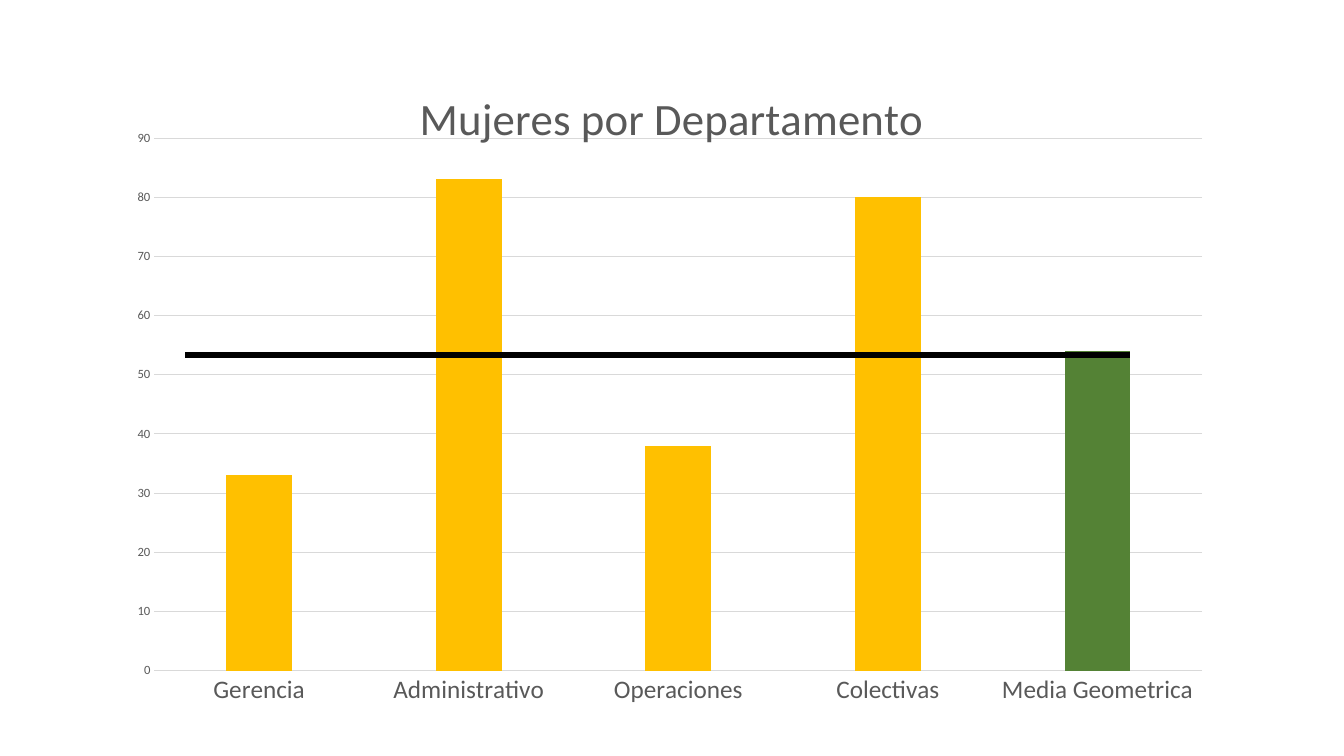
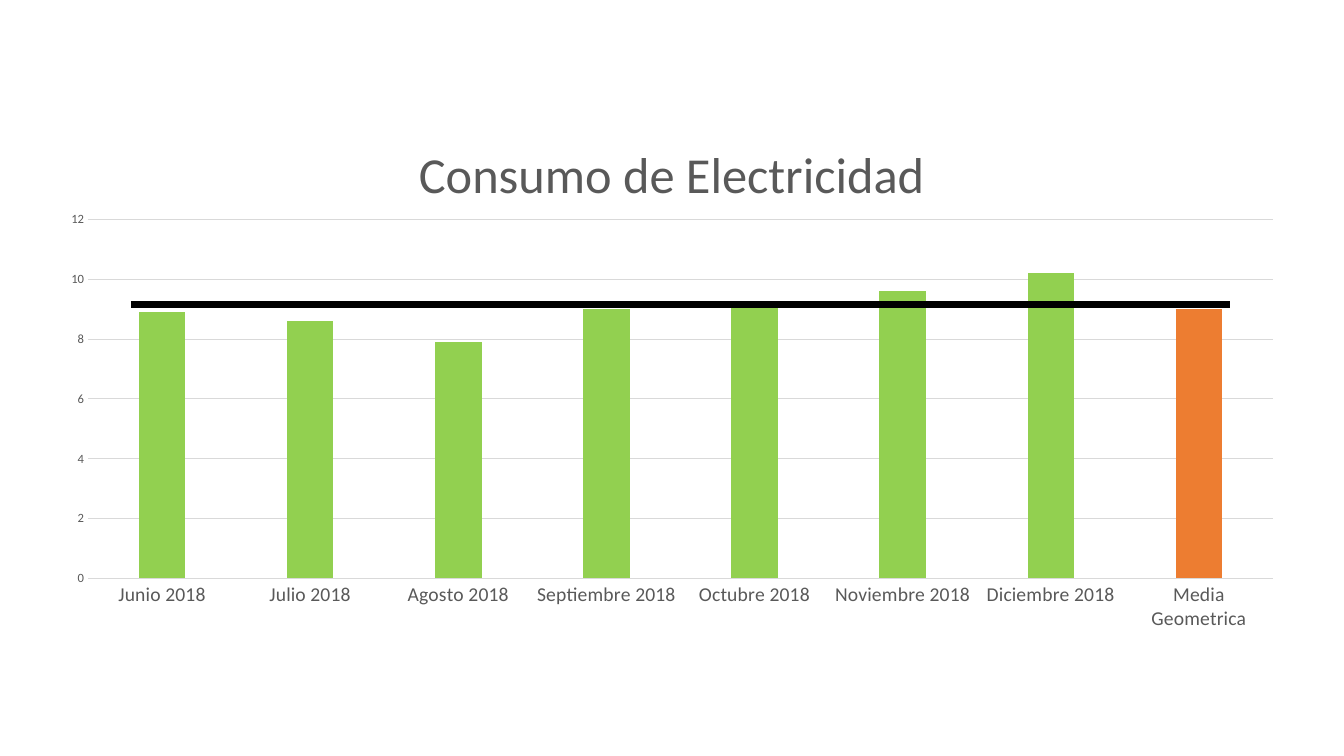
from dataclasses import dataclass

import lxml.etree
import pptx
import pptx.chart.data
import pptx.dml.color
import pptx.enum.chart
import pptx.enum.shapes
import pptx.oxml
import pptx.oxml.ns
import pptx.slide
import pptx.text.text
import pptx.util

Cm = pptx.util.Cm
Pt = pptx.util.Pt
RGB = pptx.dml.color.RGBColor


@dataclass(frozen=True)
class Theme:
    font: str = "Calibri"
    text: RGB = RGB(0x59, 0x59, 0x59)
    grid: RGB = RGB(0xD9, 0xD9, 0xD9)
    black: RGB = RGB(0, 0, 0)
    gold: RGB = RGB(0xFF, 0xC0, 0x00)
    green: RGB = RGB(0x54, 0x82, 0x35)
    lime: RGB = RGB(0x92, 0xD0, 0x50)
    orange: RGB = RGB(0xED, 0x7D, 0x31)
    scale: float = 9
    base: float = 10
    thin: float = 0.75
    thick: float = 4.5


THEME = Theme()


@dataclass(frozen=True)
class Box:
    left: float
    top: float
    width: float
    height: float


@dataclass(frozen=True)
class Mean:
    start: float
    end: float
    level: float


@dataclass(frozen=True)
class Panel:
    title: str
    size: float
    label: float
    frame: Box
    plot: Box
    data: dict[str, float]
    top: float
    step: float
    fill: RGB
    accent: RGB
    mean: Mean


PANELS = (
    Panel(
        title="Mujeres por Departamento",
        size=32,
        label=18,
        frame=Box(2.67, 1.52, 28.52, 17.27),
        plot=Box(3.89, 3.48, 26.41, 13.42),
        data={
            "Gerencia": 33,
            "Administrativo": 83,
            "Operaciones": 38,
            "Colectivas": 80,
            "Media Geometrica": 54,
        },
        top=90,
        step=10,
        fill=THEME.gold,
        accent=THEME.green,
        mean=Mean(4.67, 28.47, 8.94),
    ),
    Panel(
        title="Consumo de Electricidad",
        size=36,
        label=14,
        frame=Box(1.17, 2.87, 31.52, 13.31),
        plot=Box(2.22, 5.53, 29.86, 9.05),
        data={
            "Junio 2018": 8.9,
            "Julio 2018": 8.6,
            "Agosto 2018": 7.9,
            "Septiembre 2018": 9,
            "Octubre 2018": 9.2,
            "Noviembre 2018": 9.6,
            "Diciembre 2018": 10.2,
            "Media Geometrica": 9,
        },
        top=12,
        step=2,
        fill=THEME.lime,
        accent=THEME.orange,
        mean=Mean(3.3, 30.99, 7.67),
    ),
)


def style(font: pptx.text.text.Font, size: float, color: RGB) -> None:
    font.name = THEME.font
    font.size = Pt(size)
    font.bold = False
    font.color.rgb = color


def place(chart: pptx.chart.chart.Chart, frame: Box, plot: Box) -> None:
    area = chart._chartSpace.chart.plotArea
    for old in area.findall(pptx.oxml.ns.qn("c:layout")):
        area.remove(old)
    parts = {
        "layoutTarget": "inner",
        "xMode": "edge",
        "yMode": "edge",
        "x": (plot.left - frame.left) / frame.width,
        "y": (plot.top - frame.top) / frame.height,
        "w": plot.width / frame.width,
        "h": plot.height / frame.height,
    }
    layout = pptx.oxml.parse_xml(f"<c:layout {pptx.oxml.ns.nsdecls('c')}/>")
    manual = lxml.etree.SubElement(layout, pptx.oxml.ns.qn("c:manualLayout"))
    for name, value in parts.items():
        node = lxml.etree.SubElement(manual, pptx.oxml.ns.qn(f"c:{name}"))
        node.set("val", str(value))
    area.insert(0, layout)


def format_axes(chart: pptx.chart.chart.Chart, panel: Panel) -> None:
    names, scale = chart.category_axis, chart.value_axis
    for axis, size in ((names, panel.label), (scale, THEME.scale)):
        axis.major_tick_mark = pptx.enum.chart.XL_TICK_MARK.NONE
        axis.minor_tick_mark = pptx.enum.chart.XL_TICK_MARK.NONE
        style(axis.tick_labels.font, size, THEME.text)
    scale.minimum_scale = 0
    scale.maximum_scale = panel.top
    scale.major_unit = panel.step
    scale.has_major_gridlines = True
    scale.format.line.fill.background()
    for item in (names, scale.major_gridlines):
        item.format.line.color.rgb = THEME.grid
        item.format.line.width = Pt(THEME.thin)


def add_bars(slide: pptx.slide.Slide, panel: Panel) -> None:
    data = pptx.chart.data.CategoryChartData()
    data.categories = list(panel.data)
    data.add_series("Series 1", list(panel.data.values()))
    frame = panel.frame
    chart = slide.shapes.add_chart(
        pptx.enum.chart.XL_CHART_TYPE.COLUMN_CLUSTERED,
        Cm(frame.left), Cm(frame.top), Cm(frame.width), Cm(frame.height), data,
    ).chart
    style(chart.font, THEME.base, THEME.black)
    chart.has_legend = False
    chart.has_title = True
    title = chart.chart_title
    title.include_in_layout = False
    title.text_frame.text = panel.title
    style(title.text_frame.paragraphs[0].runs[0].font, panel.size, THEME.text)
    place(chart, frame, panel.plot)
    format_axes(chart, panel)
    plot = chart.plots[0]
    plot.gap_width = 219
    plot.overlap = -27
    plot.vary_by_categories = False
    bars = plot.series[0]
    last = bars.points[len(panel.data) - 1]
    for item, color in ((bars, panel.fill), (last, panel.accent)):
        item.format.fill.solid()
        item.format.fill.fore_color.rgb = color


def add_mean(slide: pptx.slide.Slide, mean: Mean) -> None:
    line = slide.shapes.add_connector(
        pptx.enum.shapes.MSO_CONNECTOR.STRAIGHT,
        Cm(mean.start), Cm(mean.level), Cm(mean.end), Cm(mean.level),
    )
    line.line.color.rgb = THEME.black
    line.line.width = Pt(THEME.thick)
    lxml.etree.SubElement(line._element.spPr, pptx.oxml.ns.qn("a:effectLst"))


def main() -> None:
    deck = pptx.Presentation()
    deck.slide_width = Cm(33.87)
    deck.slide_height = Cm(19.05)
    blank = deck.slide_layouts[6]
    for panel in PANELS:
        slide = deck.slides.add_slide(blank)
        add_bars(slide, panel)
        add_mean(slide, panel.mean)
    deck.save("out.pptx")


if __name__ == "__main__":
    main()
